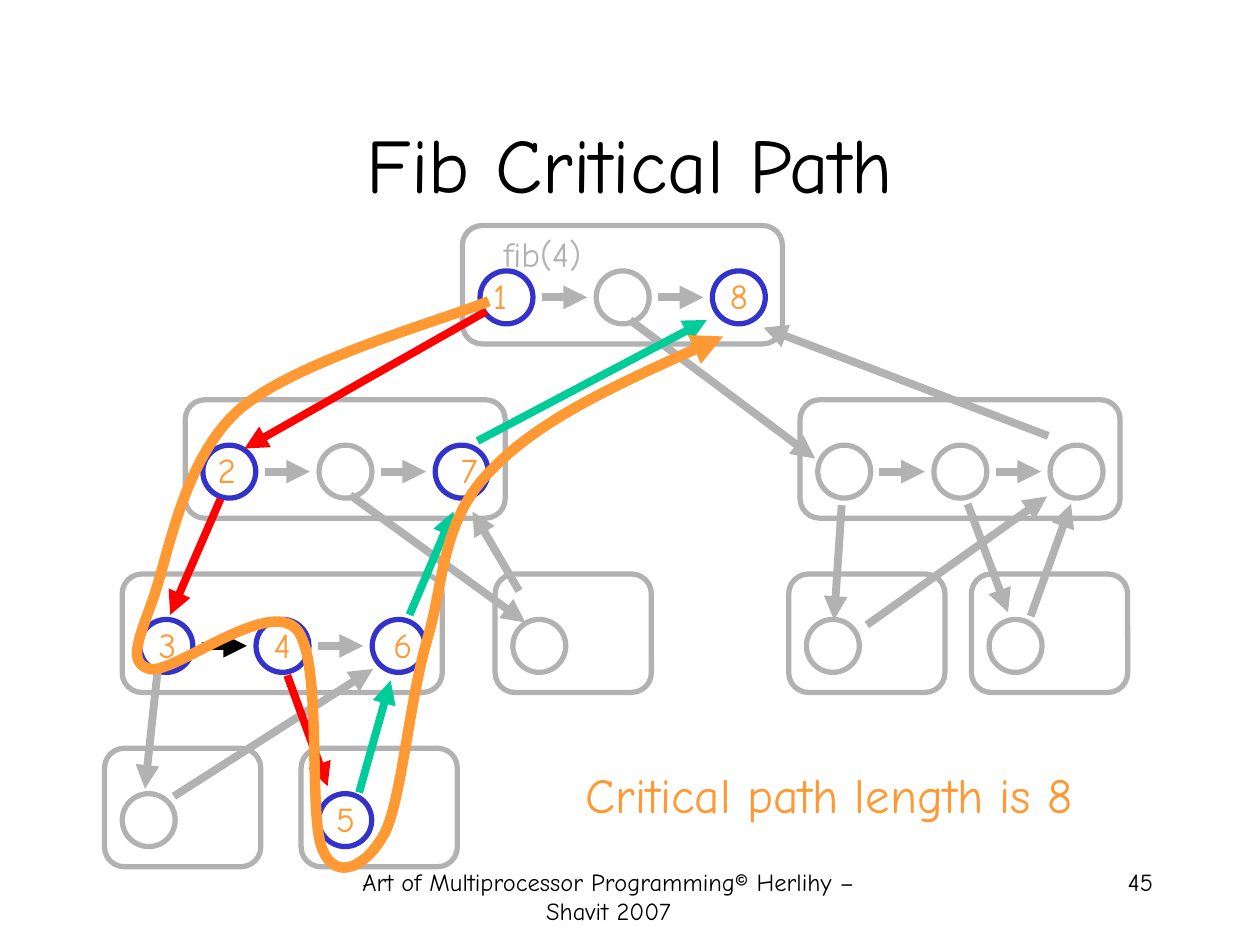
import pptx
import pptx.util
import pptx.dml.color
import pptx.enum.shapes
import pptx.enum.text
import pptx.oxml.ns
import lxml.etree

COLS, ROWS = 10, 7.5
FONT = "Comic Neue"
HEX = {"black": "000000", "gray": "B2B2B2", "blue": "3333CC", "red": "FF0000",
       "green": "00CC99", "orange": "FF9933"}
SHAPE = pptx.enum.shapes.MSO_SHAPE
ALIGN = pptx.enum.text.PP_ALIGN
FIT = pptx.enum.text.MSO_AUTO_SIZE

# Task boxes and their nodes, in grid columns and rows
TOP, PITCH = 1.79, 1.383
NODE, STEP, PAD, DROP, TALL = 0.42, 0.922, 0.14, 0.36, 0.94
# Left edge, level, nodes: a digit is a step of the critical path
TASKS = [(3.67, 0, "1.8"), (1.47, 1, "2.7"), (6.35, 1, "..."), (0.97, 2, "346"),
         (6.26, 2, "."), (7.71, 2, "."), (3.93, 2, "."), (0.83, 3, "."), (2.39, 3, "5")]
NUDGE = {"1": -0.05, "2": -0.02, "3": 0.01, "6": 0.03, "7": 0.06}
EDGES = {
    "gray": [(1.25, 5.33, 1.15, 6.26), (2.78, 3.93, 4.17, 4.94), (5, 2.54, 6.47, 3.64),
             (6.68, 4.01, 6.62, 4.92), (7.68, 4, 8, 4.86), (1.38, 6.32, 2.96, 5.31),
             (4.12, 4.69, 3.75, 4.06), (6.88, 4.96, 8.31, 3.94), (8.18, 4.89, 8.5, 4),
             (8.32, 3.46, 6.06, 2.6)],
    "red": [(3.86, 2.47, 1.94, 3.56), (1.75, 3.96, 1.35, 4.88), (2.28, 5.36, 2.6, 6.24)],
    "green": [(2.85, 6.29, 3.1, 5.4), (3.25, 4.88, 3.6, 4.06), (3.79, 3.5, 5.61, 2.54)],
}
START = (3.88, 2.39)
# Each curve: two control points and an end
CURVES = [
    ((3.55, 2.53), (2.35, 2.86), (1.9, 3.25)), ((1.46, 3.64), (1.34, 4.39), (1.22, 4.74)),
    ((1.1, 5.08), (1.01, 5.26), (1.19, 5.31)), ((1.38, 5.35), (2.12, 4.75), (2.35, 4.99)),
    ((2.57, 5.22), (2.44, 6.47), (2.56, 6.74)), ((2.67, 7.01), (2.92, 6.87), (3.06, 6.6)),
    ((3.19, 6.32), (3.25, 5.56), (3.39, 5.08)), ((3.53, 4.61), (3.5, 4.14), (3.89, 3.74)),
    ((4.28, 3.33), (5.01, 3), (5.74, 2.67)),
]


def place(box, x, y, w, h):
    """Turn grid columns and rows inside a box into slide lengths."""
    left, top, wide, high = box
    col, row = wide / COLS, high / ROWS
    return [round(v) for v in (left + x * col, top + y * row, w * col, h * row)]


def paint(line, hue, size):
    line.color.rgb = pptx.dml.color.RGBColor.from_string(HEX[hue])
    line.width = pptx.util.Pt(size)


def tip(shape):
    """End the line of a shape in a triangle."""
    lxml.etree.SubElement(shape.line._get_or_add_ln(),
                          pptx.oxml.ns.qn("a:tailEnd"), type="triangle")


def write(frame, text, size, hue, align=ALIGN.CENTER):
    frame.text = text
    par = frame.paragraphs[0]
    par.alignment = align
    font = par.runs[0].font
    font.name, font.size = FONT, pptx.util.Pt(size)
    font.color.rgb = pptx.dml.color.RGBColor.from_string(HEX[hue])


def label(slide, area, text, size, hue, align=ALIGN.CENTER, wrap=False):
    frame = slide.shapes.add_textbox(*area).text_frame
    write(frame, text, size, hue, align)
    frame.word_wrap = wrap
    frame.auto_size = FIT.NONE if wrap else FIT.SHAPE_TO_FIT_TEXT


def outline(slide, kind, area, hue):
    shape = slide.shapes.add_shape(kind, *area)
    shape.shadow.inherit = False
    shape.fill.background()
    paint(shape.line, hue, 3)


def arrow(slide, box, ends, hue):
    x1, y1, x2, y2 = ends
    line = slide.shapes.add_connector(
        pptx.enum.shapes.MSO_CONNECTOR.STRAIGHT,
        *place(box, x1, y1, 0, 0)[:2], *place(box, x2, y2, 0, 0)[:2])
    paint(line.line, hue, 4.5)
    tip(line)
    lxml.etree.SubElement(line._element.spPr, pptx.oxml.ns.qn("a:effectLst"))


def spots(left, level, nodes):
    """Yield the name and the top left corner of each node of a task."""
    for i, name in enumerate(nodes):
        yield name, left + PAD + i * STEP, TOP + level * PITCH + DROP


def task(slide, box, left, level, nodes):
    for name, x, y in spots(left, level, nodes):
        hue = "gray" if name == "." else "blue"
        outline(slide, SHAPE.OVAL, place(box, x, y, NODE, NODE), hue)
    for i, pair in enumerate(zip(nodes, nodes[1:])):
        x, y = left + PAD + i * STEP + 0.49, TOP + level * PITCH + DROP + NODE / 2
        arrow(slide, box, (x, y, x + 0.36, y), "black" if pair == ("3", "4") else "gray")
    wide = 2.54 if len(nodes) == 3 else 1.24
    outline(slide, SHAPE.ROUNDED_RECTANGLE,
            place(box, left, TOP + level * PITCH, wide, TALL), "gray")


def bend(shape):
    """Join each three line segments of a freeform into one cubic curve."""
    legs = list(shape._element.iter(pptx.oxml.ns.qn("a:lnTo")))
    for i in range(0, len(legs), 3):
        curve = lxml.etree.Element(pptx.oxml.ns.qn("a:cubicBezTo"))
        legs[i].addprevious(curve)
        for leg in legs[i:i + 3]:
            curve.append(leg[0])
            leg.getparent().remove(leg)


def route(slide, box):
    dots = [START] + [dot for curve in CURVES for dot in curve]
    dots = [place(box, x, y, 0, 0)[:2] for x, y in dots]
    pen = slide.shapes.build_freeform(*dots[0])
    pen.add_line_segments(dots[1:], close=False)
    shape = pen.convert_to_shape()
    bend(shape)
    shape.shadow.inherit = False
    shape.fill.background()
    paint(shape.line, "orange", 6)
    tip(shape)


def tree(slide, box):
    for item in TASKS:
        task(slide, box, *item)
    label(slide, place(box, 3.89, 1.8, 0.83, 0.44), "fib(4)", 20, "gray")
    for hue, group in EDGES.items():
        for ends in group:
            arrow(slide, box, ends, hue)
    route(slide, box)
    label(slide, place(box, 4.54, 6.02, 4.08, 0.57), "Critical path length is 8", 28, "orange")
    for item in TASKS:
        for name, x, y in spots(*item):
            if name != ".":
                area = place(box, x + 0.04 + NUDGE.get(name, 0), y - 0.02, 0.34, 0.44)
                label(slide, area, name, 20, "orange")


def head(slide, box):
    title = slide.shapes.title
    title.left, title.top, title.width, title.height = place(box, 0.75, 0.67, 8.5, 1.25)
    write(title.text_frame, "Fib Critical Path", 44, "black")
    title.text_frame.vertical_anchor = pptx.enum.text.MSO_ANCHOR.MIDDLE
    title.text_frame.auto_size = FIT.NONE


def foot(slide, box):
    label(slide, place(box, 2.54, 6.83, 4.58, 0.5),
          "Art of Multiprocessor Programming© Herlihy –Shavit 2007", 14, "black", wrap=True)
    label(slide, place(box, 7.17, 6.83, 2.08, 0.5), "45", 14, "black", ALIGN.RIGHT, True)


def main():
    deck = pptx.Presentation()
    deck.slide_width, deck.slide_height = pptx.util.Inches(10), pptx.util.Inches(7.5)
    slide = deck.slides.add_slide(deck.slide_layouts[5])
    box = (0, 0, deck.slide_width, deck.slide_height)
    foot(slide, box)
    head(slide, box)
    tree(slide, box)
    deck.save("out.pptx")


if __name__ == "__main__":
    main()
